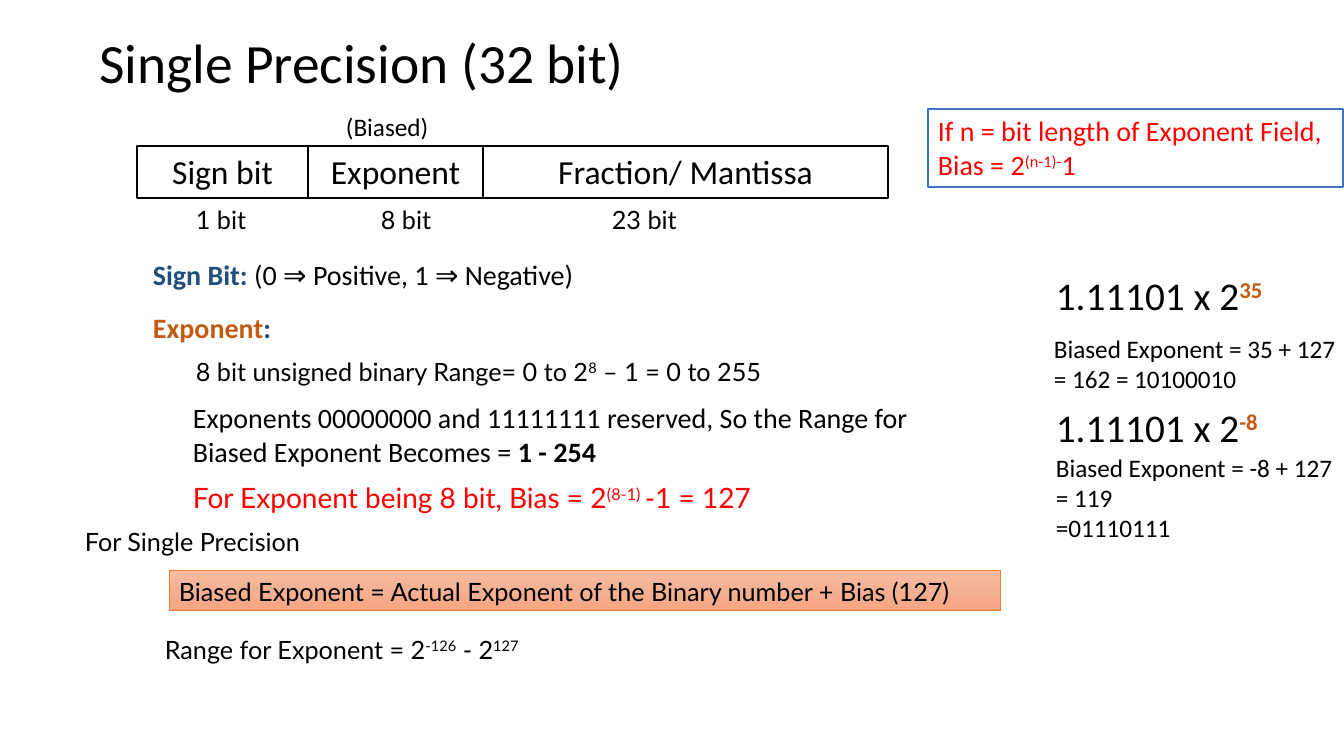
from copy import deepcopy

from pptx import Presentation
from pptx import util as u
from pptx.dml.color import RGBColor
from pptx.enum import shapes, text
from pptx.oxml.ns import qn

SCALE = 914400 / 100.8
BLACK, RED, BLUE, ORANGE = "000000", "FF0000", "1E4E79", "C55A11"


def px(length):
    """Turn whole pixels into EMU."""
    return u.Emu(round(length * SCALE))


def colour(value):
    """Turn a hex string into a colour."""
    return RGBColor.from_string(value)


def run(words, tint=None, bold=False, raised=False):
    """Describe one run of text."""
    return words, tint, bold, raised


class SlideBuilder:
    """Hold the style and the current slide, and draw its elements."""

    def __init__(self, presentation, font="Calibri", size=18):
        """Open a title-only slide."""
        self.slide = presentation.slides.add_slide(presentation.slide_layouts[5])
        self.font, self.size = font, size

    def add_text(self, shape, paragraphs, size=None, font=None, tint=BLACK,
                 align=text.PP_ALIGN.LEFT, spacing=1.0, anchor=text.MSO_ANCHOR.TOP):
        """Fill a shape with paragraphs, run by run."""
        frame = shape.text_frame
        frame.word_wrap = True
        frame.auto_size = text.MSO_AUTO_SIZE.NONE
        frame.vertical_anchor = anchor
        frame.margin_left = frame.margin_right = u.Inches(0.1)
        frame.margin_top = frame.margin_bottom = u.Inches(0.05)
        for index, runs in enumerate(paragraphs):
            paragraph = frame.add_paragraph() if index else frame.paragraphs[0]
            paragraph.alignment = align
            paragraph.line_spacing = spacing
            for words, run_tint, bold, raised in runs:
                part = paragraph.add_run()
                part.text = words
                part.font.name = font or self.font
                part.font.size = u.Pt(size or self.size)
                part.font.bold = bold
                part.font.color.rgb = colour(run_tint or tint)
                if raised:
                    part.font._element.set("baseline", "30000")

    def title(self, box, words, size):
        """Move and format the title placeholder."""
        shape = self.slide.shapes.title
        shape.left, shape.top, shape.width, shape.height = map(px, box)
        self.add_text(shape, [[run(words)]], size, spacing=0.9,
                      anchor=text.MSO_ANCHOR.MIDDLE)

    def label(self, box, *paragraphs, **style):
        """Add a text box."""
        self.add_text(self.slide.shapes.add_textbox(*map(px, box)), paragraphs, **style)

    def box(self, box, *paragraphs, line=BLACK, weight=1, fill=None, gradient=None, **style):
        """Add an outlined rectangle with text."""
        shape = self.slide.shapes.add_shape(shapes.MSO_SHAPE.RECTANGLE, *map(px, box))
        shape.shadow.inherit = False
        shape.line.color.rgb = colour(line)
        shape.line.width = u.Pt(weight)
        if gradient:
            self.shade(shape, gradient)
        elif fill:
            shape.fill.solid()
            shape.fill.fore_color.rgb = colour(fill)
        else:
            shape.fill.background()
        self.add_text(shape, paragraphs, **style)

    def shade(self, shape, tints):
        """Fill a shape from top to bottom with three evenly spaced tints."""
        shape.fill.gradient()
        shape.fill.gradient_angle = 270
        stops = shape._element.spPr.find(qn("a:gradFill")).find(qn("a:gsLst"))
        stops.append(deepcopy(stops[-1]))
        for index, (stop, tint) in enumerate(zip(shape.fill.gradient_stops, tints)):
            stop.color.rgb = colour(tint)
            stop.position = index / (len(tints) - 1)


def draw_format(builder):
    """Draw the three fields of the number with their bit lengths."""
    builder.label((336, 106, 104, 40), [run("(Biased)")])
    left = 137
    for name, width, bits, bits_left in (
        ("Sign bit", 171, "1 bit", 186),
        ("Exponent", 175, "8 bit", 371),
        ("Fraction/ Mantissa", 405, "23 bit", 602),
    ):
        builder.box((left, 146, width, 52), [run(name)], size=24,
                    align=text.PP_ALIGN.CENTER)
        builder.label((bits_left, 199, 97, 40), [run(bits)], font="Lato")
        left += width


def draw_explanation(builder):
    """Explain the sign bit and the exponent."""
    builder.label((143, 259, 594, 37),
                  [run("Sign Bit: ", BLUE, True), run("(0 ⇒ Positive, 1 ⇒ Negative)")],
                  size=20, spacing=0.8)
    builder.label((143, 312, 594, 37),
                  [run("Exponent", ORANGE, True), run(":", BLUE, True)],
                  size=20, spacing=0.8)
    builder.label((186, 351, 643, 40),
                  [run("8 bit unsigned binary Range= 0 to 2"), run("8", raised=True),
                   run(" – 1 = 0 to 255")], font="Lato")
    builder.label((183, 396, 753, 78),
                  [run("Exponents 00000000 and 11111111 reserved, "
                       "So the Range for Biased Exponent Becomes = "),
                   run("1 - 254", bold=True)], size=20)
    builder.label((183, 476, 753, 44),
                  [run("For Exponent being 8 bit, Bias = 2"), run("(8-1) ", raised=True),
                   run("-1 = 127")], size=20, font="Lato", tint=RED)
    builder.label((75, 521, 594, 40), [run("For Single Precision")], font="Lato")
    builder.box((169, 571, 832, 40),
                [run("Biased Exponent = Actual Exponent of the Binary number + Bias (127)")],
                line="ED7D31", weight=0.75, gradient=("F7BCA2", "F4B093", "F7A47F"),
                font="Lato")
    builder.label((155, 629, 594, 40),
                  [run("Range for Exponent = 2"), run("-126", raised=True),
                   run(" - 2"), run("127", raised=True)], font="Lato")


def draw_examples(builder):
    """Show the bias rule and two worked examples."""
    builder.box((928, 109, 415, 78),
                [run("If n = bit length of Exponent Field,")],
                [run("Bias = 2"), run("(n-1)-", raised=True), run("1")],
                line="4472C4", fill="FFFFFF", size=20, tint=RED)
    for top, power in ((275, "35"), (407, "-8")):
        builder.label((1046, top, 245, 50),
                      [run("1.11101 x 2"), run(power, ORANGE, True, True)],
                      size=28, spacing=0.8)
    builder.label((1044, 328, 310, 72),
                  [run("Biased Exponent = 35 + 127 = 162 = 10100010")])
    builder.label((1046, 447, 298, 102),
                  [run("Biased Exponent = -8 + 127 = 119")], [run("=01110111")])


def main():
    """Build and save the slide."""
    presentation = Presentation()
    presentation.slide_width, presentation.slide_height = px(1344), px(756)
    builder = SlideBuilder(presentation)
    builder.title((89, 34, 1159, 63), "Single Precision (32 bit)", 39.6)
    draw_format(builder)
    draw_explanation(builder)
    draw_examples(builder)
    presentation.save("out.pptx")


if __name__ == "__main__":
    main()
